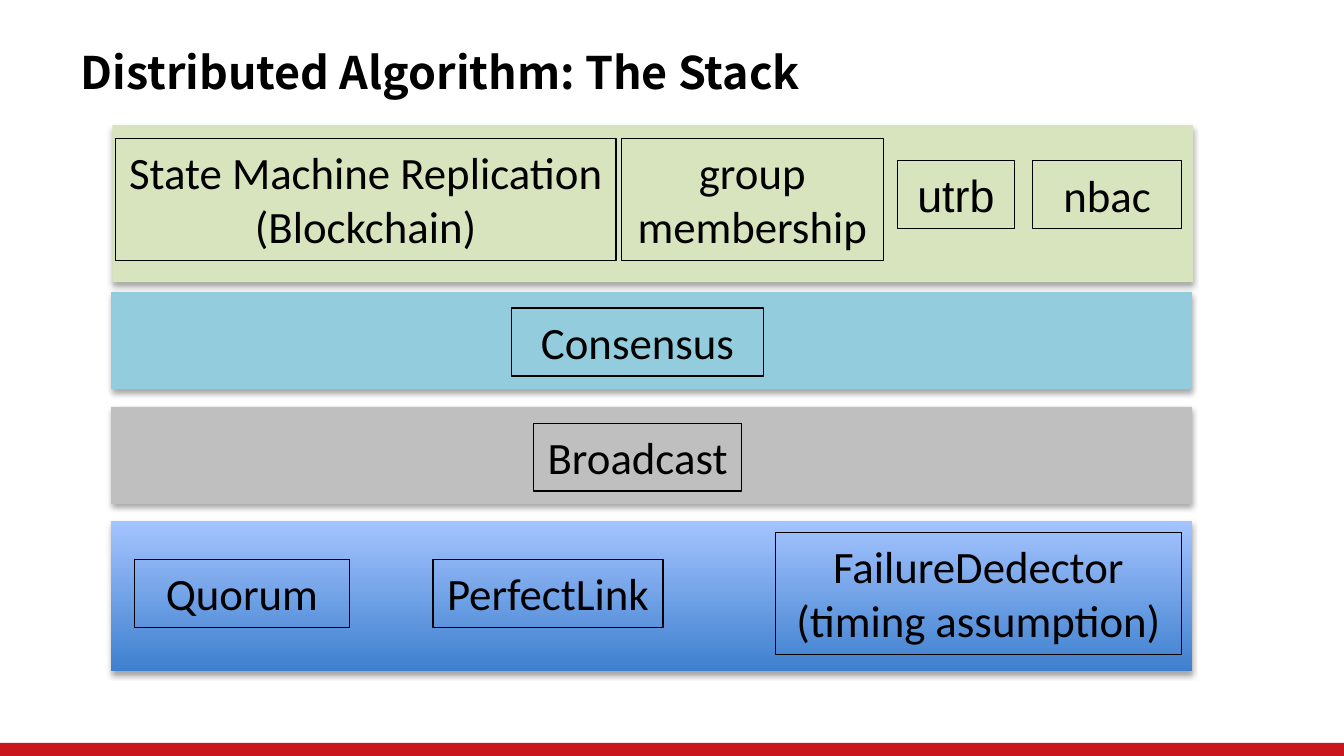
from dataclasses import dataclass

import lxml.etree
import pptx
import pptx.dml.color
import pptx.enum.shapes
import pptx.enum.text
import pptx.oxml
import pptx.oxml.ns
import pptx.shapes.autoshape
import pptx.slide
import pptx.util

Pt = pptx.util.Pt
RGBColor = pptx.dml.color.RGBColor
PP_ALIGN = pptx.enum.text.PP_ALIGN

BLACK = RGBColor(0x00, 0x00, 0x00)
RED = RGBColor(0xC9, 0x15, 0x1E)
GREEN = RGBColor(0xD7, 0xE4, 0xBD)
AQUA = RGBColor(0x93, 0xCD, 0xDD)
GRAY = RGBColor(0xBF, 0xBF, 0xBF)
BLUE = RGBColor(0x3F, 0x80, 0xCE)
LIGHT_BLUE = RGBColor(0xA4, 0xC4, 0xFF)

BAND_LEFT = 59.6
BAND_WIDTH = 579
ONE_LINE = 36.35
TWO_LINES = 65.45

SHADOW = (
    f'<a:effectLst {pptx.oxml.ns.nsdecls("a")}>'
    '<a:outerShdw blurRad="39370" dist="22860" dir="5400000" rotWithShape="0">'
    '<a:srgbClr val="000000"><a:alpha val="35000"/></a:srgbClr>'
    '</a:outerShdw></a:effectLst>'
)


@dataclass
class Band:
    top: float
    height: float
    colors: tuple[RGBColor, ...]
    left: float = BAND_LEFT


@dataclass
class Box:
    text: str
    left: float
    top: float
    width: float
    height: float = ONE_LINE
    font: str = "Calibri"


BANDS = [
    Band(67, 84.25, (GREEN,), 60.2),
    Band(156.5, 52, (AQUA,)),
    Band(218, 52, (GRAY,)),
    Band(279.2, 80.4, (BLUE, LIGHT_BLUE)),
]

BOXES = [
    Box("State Machine Replication\n(Blockchain)", 61.8, 74.2, 268.2, TWO_LINES),
    Box("group membership", 332.8, 74.2, 140.4, TWO_LINES),
    Box("utrb", 480.7, 86.1, 62.8, font="Arial"),
    Box("nbac", 553.1, 86.1, 80),
    Box("Consensus", 274, 165.1, 135),
    Box("Broadcast", 285.8, 226.8, 111.6),
    Box("Quorum", 72, 299.8, 115.2),
    Box("PerfectLink", 232, 299.8, 123.2),
    Box("FailureDedector\n(timing assumption)", 415.4, 285.3, 217.6, TWO_LINES),
]


def add_rect(s: pptx.slide.Slide, left: float, top: float, width: float,
             height: float, colors: tuple[RGBColor, ...]) -> pptx.shapes.autoshape.Shape:
    sp = s.shapes.add_shape(pptx.enum.shapes.MSO_SHAPE.RECTANGLE,
                            Pt(left), Pt(top), Pt(width), Pt(height))
    sp.shadow.inherit = False
    sp.line.fill.background()
    if len(colors) == 1:
        sp.fill.solid()
        sp.fill.fore_color.rgb = colors[0]
    else:
        sp.fill.gradient()
        sp.fill.gradient_angle = 90
        for stop, color in zip(sp.fill.gradient_stops, colors):
            stop.color.rgb = color
    return sp


def add_band(s: pptx.slide.Slide, band: Band) -> None:
    sp = add_rect(s, band.left, band.top, BAND_WIDTH, band.height, band.colors)
    spPr = sp.element.spPr
    effects = spPr.find(pptx.oxml.ns.qn("a:effectLst"))
    spPr.replace(effects, pptx.oxml.parse_xml(SHADOW))


def add_box(s: pptx.slide.Slide, box: Box) -> None:
    sp = s.shapes.add_textbox(Pt(box.left), Pt(box.top), Pt(box.width), Pt(box.height))
    sp.line.color.rgb = BLACK
    sp.line.width = Pt(0.75)
    tf = sp.text_frame
    tf.word_wrap = True
    tf.auto_size = pptx.enum.text.MSO_AUTO_SIZE.SHAPE_TO_FIT_TEXT
    tf.text = box.text
    for p in tf.paragraphs:
        p.alignment = PP_ALIGN.CENTER
        p.font.name = box.font
        p.font.size = Pt(24)
        p.font.color.rgb = BLACK


def add_title(s: pptx.slide.Slide, text: str) -> None:
    sp = s.shapes.title
    sp.left, sp.top, sp.width, sp.height = Pt(36), Pt(20.9), Pt(501), Pt(35.3)
    tf = sp.text_frame
    tf.text = text
    tf.word_wrap = False
    tf.vertical_anchor = pptx.enum.text.MSO_ANCHOR.MIDDLE
    p = tf.paragraphs[0]
    p.alignment = PP_ALIGN.LEFT
    p.font.name = "Noto Sans CJK SC"
    p.font.size = Pt(24)
    p.font.bold = True
    p.font.color.rgb = BLACK


def main() -> None:
    prs = pptx.Presentation()
    prs.slide_width, prs.slide_height = Pt(720), Pt(405)
    s = prs.slides.add_slide(prs.slide_layouts[5])
    add_rect(s, 0, 398, 720, 7, (RED,))
    add_title(s, "Distributed Algorithm: The Stack")
    for band in BANDS:
        add_band(s, band)
    for box in BOXES:
        add_box(s, box)
    prs.save("out.pptx")


if __name__ == "__main__":
    main()
